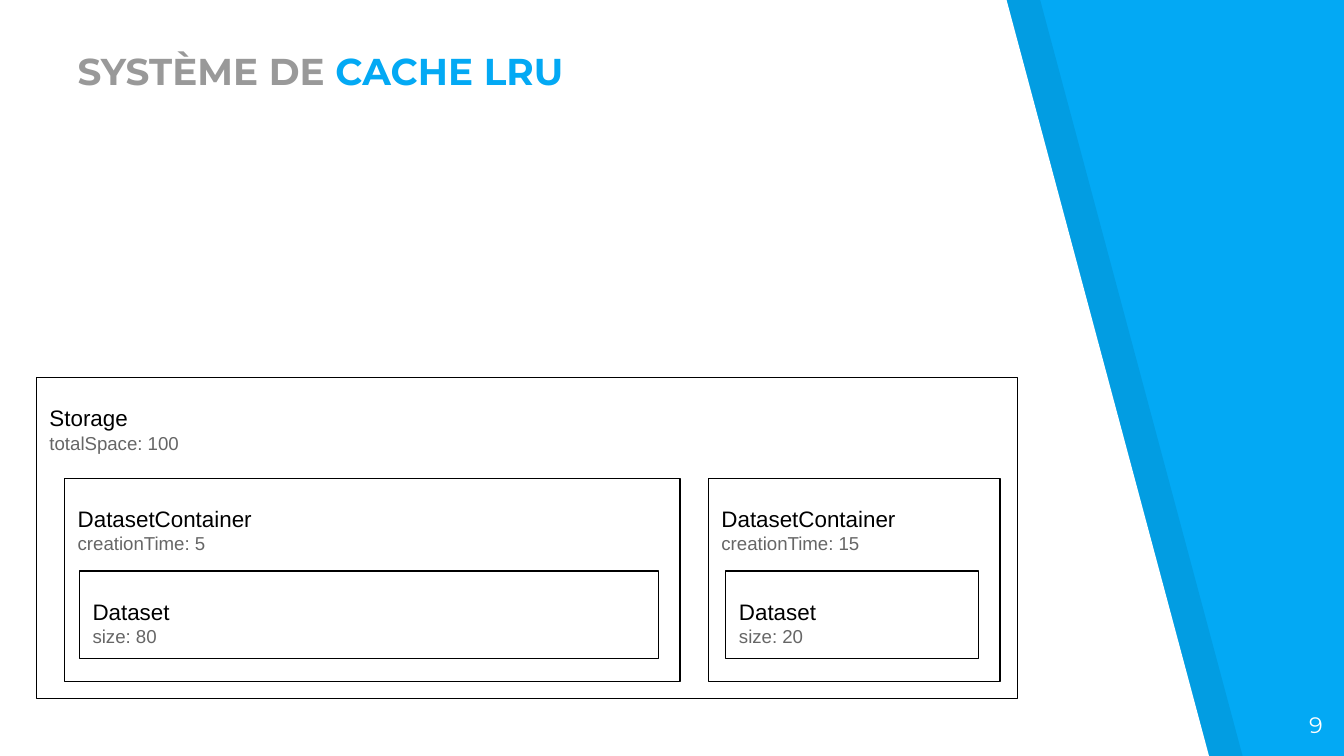
from lxml import etree
from pptx import Presentation
from pptx.dml.color import RGBColor
from pptx.enum.shapes import MSO_SHAPE
from pptx.enum.text import MSO_ANCHOR, PP_ALIGN
from pptx.oxml.ns import qn
from pptx.util import Inches, Pt

RECT = MSO_SHAPE.RECTANGLE
TOP, BOTTOM = MSO_ANCHOR.TOP, MSO_ANCHOR.BOTTOM
LEFT, RIGHT = PP_ALIGN.LEFT, PP_ALIGN.RIGHT
BLUE, WHITE, BLACK = "03A9F4", "FFFFFF", "000000"
GREY, DARK = "999999", "666666"


def color(code):
    return RGBColor.from_string(code)


class Deck:
    sans, head = "Arial", "Montserrat"
    inset = Inches(0.1)

    def __init__(self, width, height):
        self.file = Presentation()
        self.file.slide_width = Inches(width)
        self.file.slide_height = Inches(height)

    def page(self, back):
        self.slide = self.file.slides.add_slide(self.file.slide_layouts[6])
        fill = self.slide.background.fill
        fill.solid()
        fill.fore_color.rgb = color(back)

    def panel(self, points, code, alpha=None):
        spots = [(Inches(x), Inches(y)) for x, y in points]
        maker = self.slide.shapes.build_freeform(*spots[0], scale=1)
        maker.add_line_segments(spots[1:], close=True)
        shape = maker.convert_to_shape()
        shape.shadow.inherit = False
        shape.fill.solid()
        shape.fill.fore_color.rgb = color(code)
        shape.line.fill.background()
        if alpha is not None:
            tint = shape.fill._xPr.find(".//" + qn("a:srgbClr"))
            etree.SubElement(tint, qn("a:alpha"), val=str(alpha * 1000))

    def frame(self, shape, anchor=TOP):
        form = {"word_wrap": True, "vertical_anchor": anchor}
        for side in ("left", "top", "right", "bottom"):
            form["margin_" + side] = self.inset
        for name, value in form.items():
            setattr(shape.text_frame, name, value)
        return shape.text_frame

    def run(self, para, text, size, code, font, bold=False):
        run = para.add_run()
        run.text = text
        form = {"name": font, "size": Pt(size), "bold": bold}
        for name, value in form.items():
            setattr(run.font, name, value)
        run.font.color.rgb = color(code)

    def text(self, place, runs, size, anchor=TOP, align=LEFT, bold=False):
        box = self.slide.shapes.add_textbox(*map(Inches, place))
        para = self.frame(box, anchor).paragraphs[0]
        para.alignment = align
        for words, code in runs:
            self.run(para, words, size, code, self.head, bold)

    def box(self, place, name, detail):
        shape = self.slide.shapes.add_shape(RECT, *map(Inches, place))
        shape.shadow.inherit = False
        shape.fill.background()
        shape.line.color.rgb = color(BLACK)
        shape.line.width = Pt(0.75)
        frame = self.frame(shape)
        first, second = frame.paragraphs[0], frame.add_paragraph()
        first.line_spacing = 1.5
        first.alignment = second.alignment = LEFT
        self.run(first, name, 12, BLACK, self.sans)
        self.run(second, detail, 10, DARK, self.sans)


def main():
    # Widescreen page, 16 to 9
    deck = Deck(10, 10 * 9 / 16)
    deck.page(BLUE)

    # Slanted panels: the shade shows along the edge of the white area
    for shift, code, alpha in ((0.25, BLACK, 7), (0, WHITE, None)):
        edge = [(0, -0.01), (0, 5.64), (9, 5.64), (7.49, 0)]
        deck.panel([(x + shift, y) for x, y in edge], code, alpha)

    # Title and page number
    deck.text((0.48, 0.34, 6.66, 0.45),
              [("SYSTÈME DE ", GREY), ("CACHE LRU", BLUE)],
              20, anchor=BOTTOM, bold=True)
    deck.text((9.34, 5.19, 0.6, 0.43), [("9", WHITE)], 12, align=RIGHT)

    # Storage, with a dataset inside each container
    deck.box((0.27, 2.81, 7.3, 2.39), "Storage", "totalSpace: 100")
    stores = [
        (0.48, 4.58, 5, 0.59, 4.31, 80),
        (5.27, 2.17, 15, 5.4, 1.88, 20),
    ]
    for left, width, time, inner, span, size in stores:
        deck.box((left, 3.56, width, 1.51),
                 "DatasetContainer", f"creationTime: {time}")
        deck.box((inner, 4.25, span, 0.65), "Dataset", f"size: {size}")

    deck.file.save("out.pptx")


if __name__ == "__main__":
    main()
